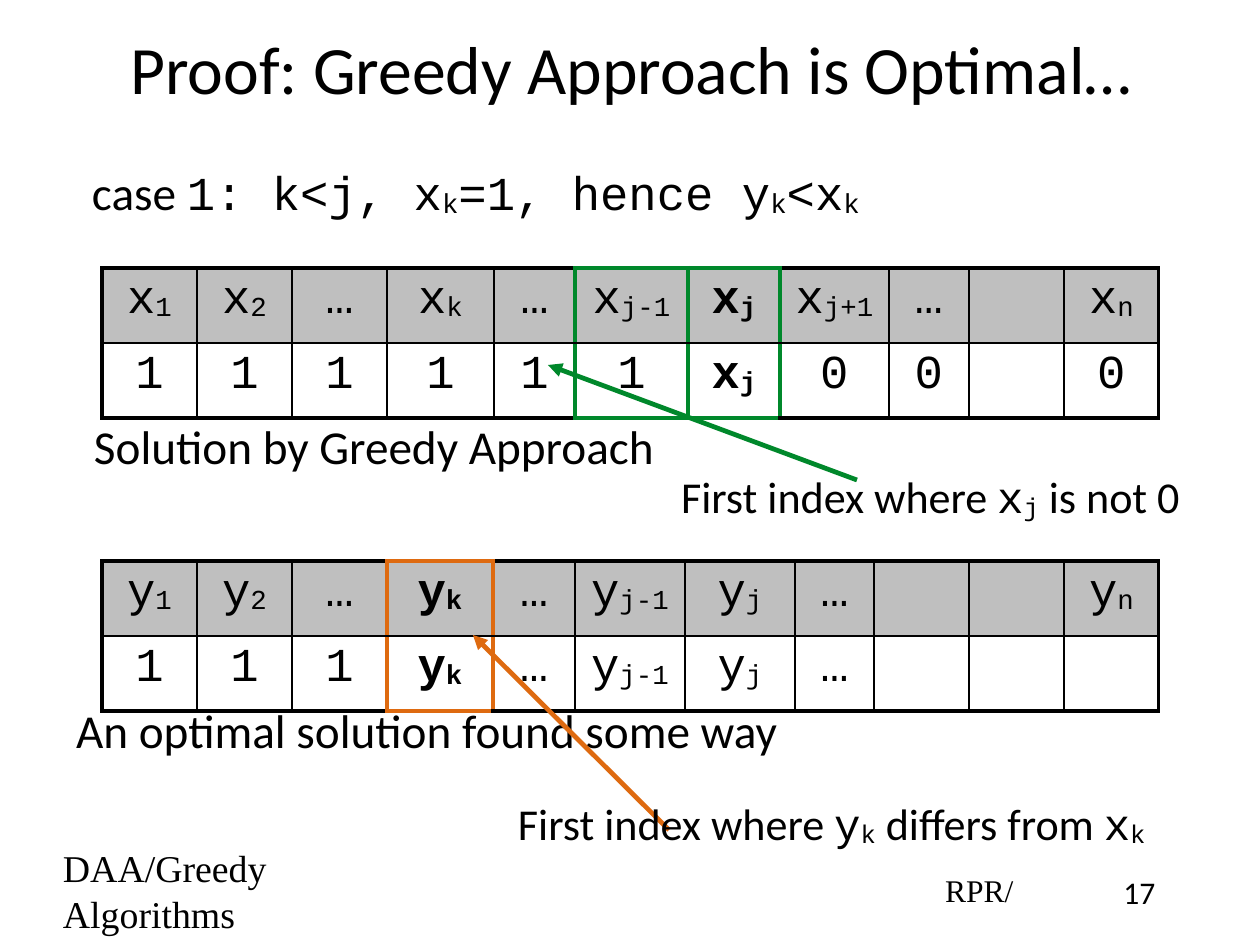
"""Build the slide proving that the greedy approach is optimal."""
from lxml import etree
from pptx import Presentation, util as u
from pptx.dml.color import RGBColor
from pptx.enum import shapes, text
from pptx.oxml import ns

PX = 8064
SLIDE = (1260, 945)
COLORS = {"ink": "000000", "header": "BFBFBF", "greedy": "00882B", "optimal": "DE6A10"}
SANS, MONO, SERIF = "Calibri", "Courier New", "Times New Roman"
CENTER, LEFT = text.PP_ALIGN.CENTER, text.PP_ALIGN.LEFT
MIDDLE, TOP = text.MSO_ANCHOR.MIDDLE, text.MSO_ANCHOR.TOP
INSET = {"margin_left": 7, "margin_right": 7, "margin_top": 7, "margin_bottom": 7}
TITLE = {"size": 43, "align": CENTER, "anchor": MIDDLE, "spacing": 1.0}
BODY = {"size": 30, "align": LEFT, "anchor": TOP, "spacing": 0.9}
LABEL = {"size": 28, "align": LEFT, "anchor": MIDDLE, "spacing": 1.0}
NUMBER = {"size": 20, "align": CENTER, "anchor": TOP, "spacing": 1.0}
FOOTER = LABEL | {"size": 24}
INITIALS = LABEL | {"size": 20}
CELL = BODY | {"align": CENTER}

HEADING = [
    ((98, 8, 1066, 118), TITLE, [(SANS, "Proof: Greedy Approach is Optimal…")]),
    ((69, 701, 773, 66), BODY, [(SANS, "An optimal solution found some way")]),
    ((1102, 866, 75, 48), NUMBER, [(SANS, "17")]),
    ((56, 864, 390, 53), FOOTER, [(SERIF, "DAA/Greedy Algorithms")]),
    ((938, 866, 83, 48), INITIALS, [(SERIF, "RPR/")]),
]
OPTIMAL = {
    "color": "optimal", "origin": (102, 561), "marked": [3],
    "columns": [95, 95, 95, 106, 82, 110, 110, 79, 95, 95, 95],
    "rows": [
        ["y_1", "y_2", "…", "y_k", "…", "y_j-1", "y_j", "…", "", "", "y_n"],
        ["1", "1", "1", "y_k", "…", "y_j-1", "y_j", "…", "", "", ""],
    ],
    "arrow": (669, 830, 473, 635),
    "captions": [
        ((511, 790, 662, 66), LABEL, [
            (SANS, "First index where "), (MONO, "y_k"),
            (SANS, " differs from "), (MONO, "x_k")]),
    ],
}
GREEDY = {
    "color": "greedy", "origin": (102, 268), "marked": [5, 6], "bold": [6],
    "columns": [95, 95, 95, 107, 81, 113, 92, 109, 80, 95, 95],
    "rows": [
        ["x_1", "x_2", "…", "x_k", "…", "x_j-1", "x_j", "x_j+1", "…", "", "x_n"],
        ["1", "1", "1", "1", "1", "1", "x_j", "0", "0", "", "0"],
    ],
    "arrow": (857, 480, 548, 365),
    "captions": [
        ((87, 417, 630, 65), BODY, [(SANS, "Solution by Greedy Approach")]),
        ((674, 463, 532, 66), LABEL, [
            (SANS, "First index where "), (MONO, "x_j"), (SANS, " is not 0")]),
    ],
}
CASE = [
    ((85, 163, 1059, 65), BODY, [
        (SANS, "case "), (MONO, "1: k<j, x_k"), (MONO, "=1, hence y_k"), (MONO, "<x_k")]),
]
ROW_HEIGHT = 75


def px(*lengths):
    return [u.Emu(length * PX) for length in lengths]


def rgb(name):
    return RGBColor.from_string(COLORS[name])


def assign(target, values):
    for name, value in values.items():
        setattr(target, name, value)


def write(paragraph, pieces, style, bold=False):
    assign(paragraph, {"alignment": style["align"], "line_spacing": style["spacing"],
                       "space_before": u.Pt(0)})
    for face, words in pieces:
        base, _, subscript = words.partition("_")
        for part, baseline in ((base, None), (subscript, "-6000")):
            if part:
                run = paragraph.add_run()
                run.text = part
                assign(run.font, {"name": face, "size": u.Pt(style["size"]), "bold": bold})
                run.font.color.rgb = rgb("ink")
                if baseline:
                    run._r.get_or_add_rPr().set("baseline", baseline)


def add_captions(slide, captions):
    for place, style, pieces in captions:
        frame = slide.shapes.add_textbox(*px(*place)).text_frame
        assign(frame, {"word_wrap": True, "vertical_anchor": style["anchor"]})
        assign(frame, {side: px(inset)[0] for side, inset in INSET.items()})
        write(frame.paragraphs[0], pieces, style)


def add_border(cell, side, color, width):
    line = etree.SubElement(cell._tc.get_or_add_tcPr(), ns.qn(f"a:ln{side}"),
                            w=str(u.Pt(width)))
    fill = etree.SubElement(line, ns.qn("a:solidFill"))
    etree.SubElement(fill, ns.qn("a:srgbClr"), val=COLORS[color])


def add_solution(slide, solution):
    rows, columns, marked = solution["rows"], solution["columns"], solution["marked"]
    size = (sum(columns), ROW_HEIGHT * len(rows))
    table = slide.shapes.add_table(len(rows), len(columns),
                                   *px(*solution["origin"], *size)).table
    assign(table, {"first_row": False, "horz_banding": False})
    for column, width in zip(table.columns, columns):
        column.width = px(width)[0]
    highlight, outer, inner = (solution["color"], 3), ("ink", 2.25), ("ink", 1)
    marked_edges = {edge for col in marked for edge in (col, col + 1)}

    def upright(edge):
        if edge in marked_edges:
            return highlight
        return outer if edge in (0, len(columns)) else inner

    def level(edge, col):
        if edge not in (0, len(rows)):
            return inner
        return highlight if col in marked else outer

    for r, row in enumerate(rows):
        table.rows[r].height = px(ROW_HEIGHT)[0]
        for c, words in enumerate(row):
            cell = table.cell(r, c)
            assign(cell, {side: px(inset)[0] for side, inset in INSET.items()})
            borders = {"L": upright(c), "R": upright(c + 1),
                       "T": level(r, c), "B": level(r + 1, c)}
            for side, border in borders.items():
                add_border(cell, side, *border)
            if r == 0:
                cell.fill.solid()
                cell.fill.fore_color.rgb = rgb("header")
            else:
                cell.fill.background()
            bold = c in solution.get("bold", marked)
            write(cell.text_frame.paragraphs[0], [(MONO, words)], CELL, bold)


def add_arrow(slide, ends, color):
    arrow = slide.shapes.add_connector(shapes.MSO_CONNECTOR.STRAIGHT, *px(*ends))
    arrow.line.color.rgb = rgb(color)
    arrow.line.width = u.Pt(3)
    etree.SubElement(arrow.line._get_or_add_ln(), ns.qn("a:tailEnd"), type="triangle")
    etree.SubElement(arrow._element.spPr, ns.qn("a:effectLst"))


def main():
    deck = Presentation()
    deck.slide_width, deck.slide_height = px(*SLIDE)
    slide = deck.slides.add_slide(deck.slide_layouts[6])
    add_captions(slide, HEADING)
    for solution in (OPTIMAL, GREEDY):
        add_solution(slide, solution)
        add_arrow(slide, solution["arrow"], solution["color"])
        add_captions(slide, solution["captions"])
    add_captions(slide, CASE)
    deck.save("out.pptx")


if __name__ == "__main__":
    main()
